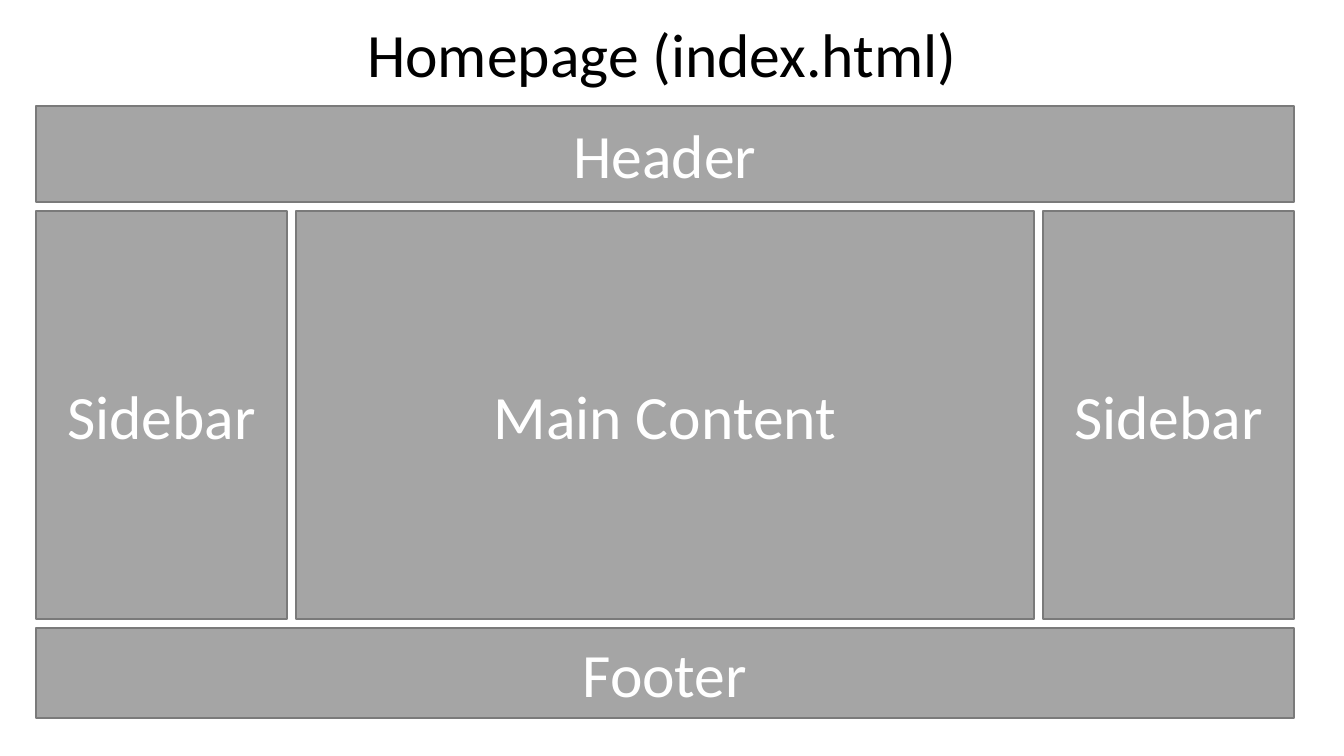
from pptx import Presentation
from pptx import util as u
from pptx.dml import color
from pptx.enum import shapes, text

EMU_PER_PX = 914400 / 100.8
SLIDE_W, SLIDE_H = 1344, 756
LEFT, TOP, WIDTH = 36, 106, 1258
GAP = 9
HEADER_H, MIDDLE_H, FOOTER_H = 96, 408, 90
SIDEBAR_W = 251


def px(length):
    return u.Emu(round(length * EMU_PER_PX))


def rgb(hex_code):
    return color.RGBColor.from_string(hex_code)


def write(frame, words, hex_code, align, anchor):
    frame.vertical_anchor = anchor
    paragraph = frame.paragraphs[0]
    paragraph.alignment = align
    run = paragraph.add_run()
    run.text = words
    run.font.name = "Calibri"
    run.font.size = u.Pt(44)
    run.font.color.rgb = rgb(hex_code)


def add_heading(slide, words, left, top, width, height):
    heading = slide.shapes.title
    heading.left, heading.top = px(left), px(top)
    heading.width, heading.height = px(width), px(height)
    frame = heading.text_frame
    frame.word_wrap = False
    frame.auto_size = text.MSO_AUTO_SIZE.SHAPE_TO_FIT_TEXT
    write(frame, words, "000000", text.PP_ALIGN.LEFT, text.MSO_ANCHOR.TOP)


def add_region(slide, label, left, top, width, height):
    """Add one labelled block of the page wireframe."""
    region = slide.shapes.add_shape(
        shapes.MSO_SHAPE.RECTANGLE, px(left), px(top), px(width), px(height))
    region.shadow.inherit = False
    region.fill.solid()
    region.fill.fore_color.rgb = rgb("A5A5A5")
    region.line.color.rgb = rgb("7A7A7A")
    region.line.width = u.Pt(1)
    region.text_frame.word_wrap = True
    write(region.text_frame, label, "FFFFFF",
          text.PP_ALIGN.CENTER, text.MSO_ANCHOR.MIDDLE)


def main():
    deck = Presentation()
    deck.slide_width, deck.slide_height = px(SLIDE_W), px(SLIDE_H)
    slide = deck.slides.add_slide(deck.slide_layouts[5])
    add_heading(slide, "Homepage (index.html)", 357, 11, 616, 85)

    main_w = WIDTH - 2 * (SIDEBAR_W + GAP)
    rows = [
        (HEADER_H, [("Header", WIDTH)]),
        (MIDDLE_H, [("Sidebar", SIDEBAR_W), ("Main Content", main_w),
                    ("Sidebar", SIDEBAR_W)]),
        (FOOTER_H, [("Footer", WIDTH)]),
    ]
    top = TOP
    for height, regions in rows:
        left = LEFT
        for label, width in regions:
            add_region(slide, label, left, top, width, height)
            left += width + GAP
        top += height + GAP

    deck.save("out.pptx")


if __name__ == "__main__":
    main()
